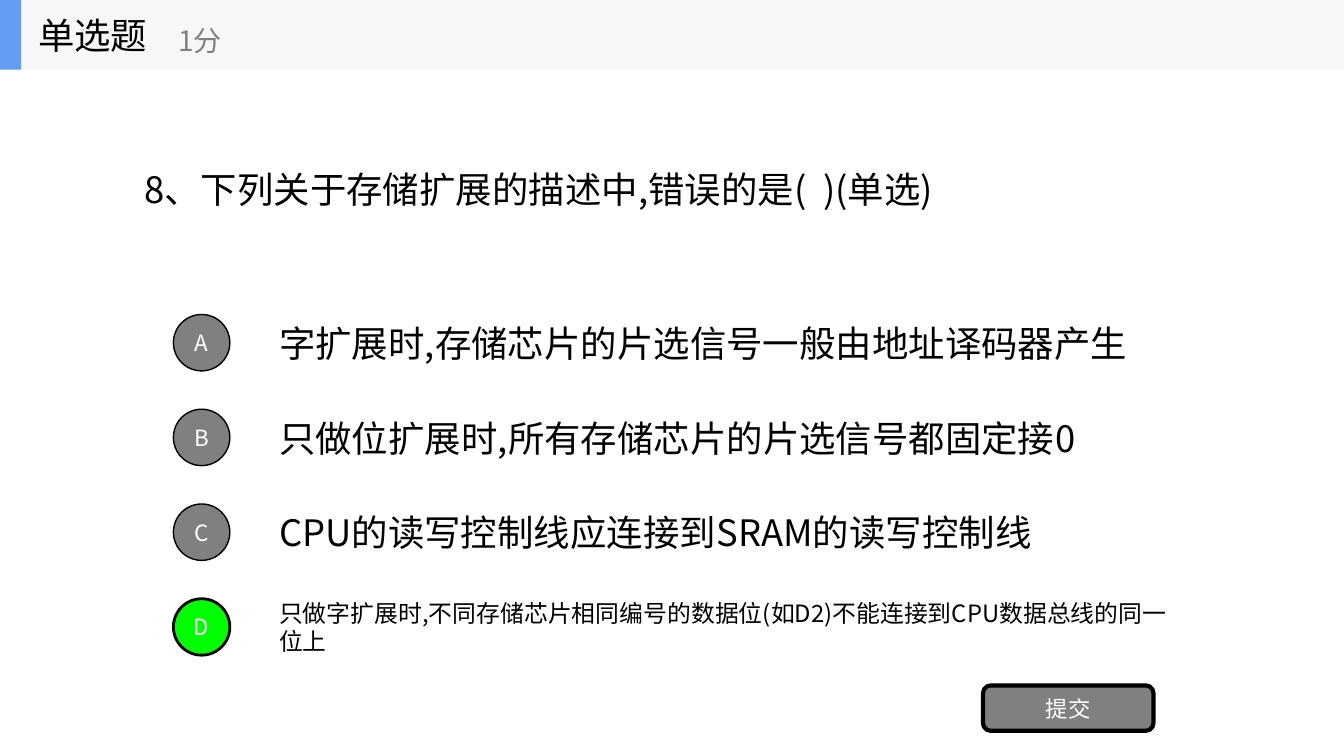
from dataclasses import dataclass

from lxml import etree
from pptx import Presentation
from pptx.dml.color import RGBColor
from pptx.enum.shapes import MSO_SHAPE
from pptx.enum.text import MSO_ANCHOR, MSO_AUTO_SIZE, PP_ALIGN
from pptx.oxml.ns import qn
from pptx.util import Inches, Pt

RECTANGLE, OVAL, ROUNDED = MSO_SHAPE.RECTANGLE, MSO_SHAPE.OVAL, MSO_SHAPE.ROUNDED_RECTANGLE
MIDDLE = MSO_ANCHOR.MIDDLE
LEFT, CENTER = PP_ALIGN.LEFT, PP_ALIGN.CENTER
FIXED, GROW = MSO_AUTO_SIZE.NONE, MSO_AUTO_SIZE.SHAPE_TO_FIT_TEXT
TITLE_ONLY = 5


@dataclass(frozen=True)
class Theme:
    font: str = "Noto Sans CJK SC"
    ink: str = "000000"
    gray: str = "808080"
    white: str = "FFFFFF"
    right_answer: str = "00FF00"
    band: str = "F6F7F8"
    accent: str = "639EF4"
    large: int = 26
    points: int = 20
    small: int = 17
    button: int = 16


THEME = Theme()

QUESTION = "8、下列关于存储扩展的描述中,错误的是(  )(单选)"
# Letter, wording, text width, text size, whether it is the answer
OPTIONS = [
    ("A", "字扩展时,存储芯片的片选信号一般由地址译码器产生", 8.7, THEME.large, False),
    ("B", "只做位扩展时,所有存储芯片的片选信号都固定接0", 8.19, THEME.large, False),
    ("C", "CPU的读写控制线应连接到SRAM的读写控制线", 7.87, THEME.large, False),
    ("D", "只做字扩展时,不同存储芯片相同编号的数据位(如D2)不能连接到CPU数据总线的同一位上",
     9, THEME.small, True),
]


def write(box, text, size, color=THEME.ink, align=LEFT, wrap=True, fit=FIXED):
    frame = box.text_frame
    frame.word_wrap = wrap
    frame.auto_size = fit
    frame.vertical_anchor = MIDDLE
    frame.text = text
    para = frame.paragraphs[0]
    para.alignment = align
    para.font.size = Pt(size)
    para.font.color.rgb = RGBColor.from_string(color)
    para.font.name = THEME.font
    latin = para._p.pPr.find(qn("a:defRPr")).find(qn("a:latin"))
    east_asian = etree.Element(qn("a:ea"), typeface=THEME.font)
    latin.addnext(east_asian)


def add_panel(shapes, kind, left, top, width, height, fill, line_width=0):
    panel = shapes.add_shape(kind, Inches(left), Inches(top), Inches(width), Inches(height))
    panel.shadow.inherit = False
    panel.fill.solid()
    panel.fill.fore_color.rgb = RGBColor.from_string(fill)
    if line_width:
        panel.line.color.rgb = RGBColor.from_string(THEME.ink)
        panel.line.width = Pt(line_width)
    else:
        panel.line.fill.background()
    return panel


def add_text(shapes, left, top, width, height, text, size, **style):
    box = shapes.add_textbox(Inches(left), Inches(top), Inches(width), Inches(height))
    write(box, text, size, **style)


def add_header(page, left, top, width, height):
    shapes = page.shapes.add_group_shape().shapes
    add_panel(shapes, RECTANGLE, left, top, width, height, THEME.band)
    add_panel(shapes, RECTANGLE, left, top, 0.21, height, THEME.accent)
    add_text(shapes, left + 0.28, top, 2.08, height, "单选题", THEME.large, wrap=False)
    add_text(shapes, left + 1.67, top + 0.12, 2.5, 0.56, "1分", THEME.points,
             color=THEME.gray, wrap=False)


def add_question(page, left, top, width, height):
    title = page.shapes.title
    title.left, title.top = Inches(left), Inches(top)
    title.width, title.height = Inches(width), Inches(height)
    write(title, QUESTION, THEME.large, fit=GROW)


def add_options(page, left, top, row_pitch):
    """Stack the lettered answers, each text centred on its round button."""
    diameter = 0.56
    for row, (letter, wording, width, size, is_answer) in enumerate(OPTIONS):
        button_top = top + row * row_pitch
        height = 0.67 if size == THEME.small else 0.53
        text_top = button_top + (diameter - height) / 2
        add_text(page.shapes, left + 0.95, text_top, width, height, wording, size, fit=GROW)
        fill = THEME.right_answer if is_answer else THEME.gray
        button = add_panel(page.shapes, OVAL, left, button_top, diameter, diameter,
                           fill, line_width=2 if is_answer else 1)
        button.text_frame.margin_left = button.text_frame.margin_right = 0
        write(button, letter, THEME.button, THEME.white, CENTER)


def add_submit_button(page, left, top, width, height):
    button = add_panel(page.shapes, ROUNDED, left, top, width, height, THEME.gray, line_width=3)
    write(button, "提交", THEME.button, THEME.white, CENTER)


def main():
    deck = Presentation()
    deck.slide_width, deck.slide_height = Inches(13.33), Inches(7.5)
    page = deck.slides.add_slide(deck.slide_layouts[TITLE_ONLY])
    add_question(page, 1.33, 1.6, 8.7, 0.54)
    add_options(page, 1.72, 3.12, row_pitch=0.94)
    add_submit_button(page, 9.75, 6.8, 1.69, 0.45)
    add_header(page, 0, 0, 13.33, 0.69)
    deck.save("out.pptx")


if __name__ == "__main__":
    main()
